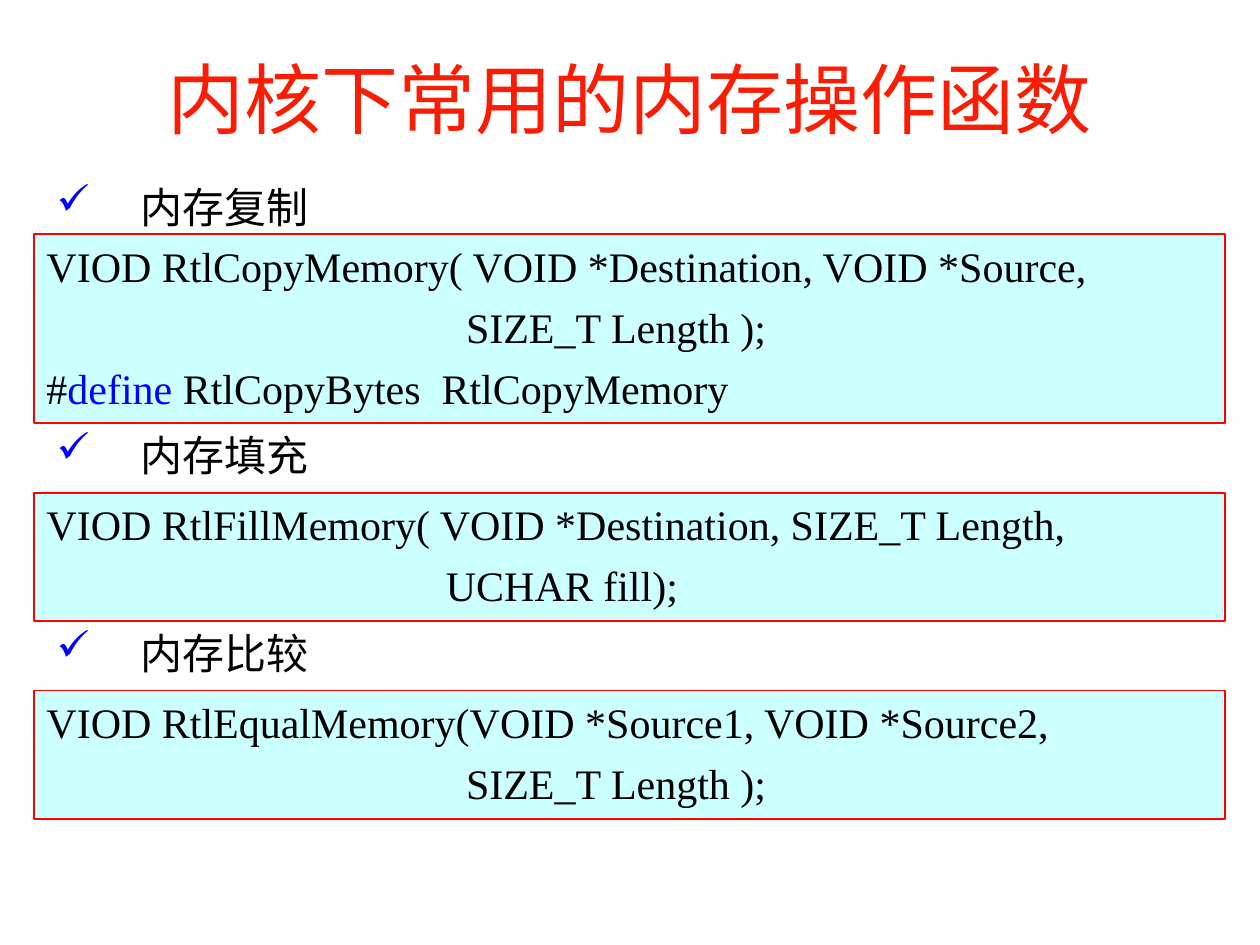
import pptx
import pptx.util
import pptx.dml.color
import pptx.enum.shapes
import pptx.enum.text
import pptx.oxml.ns
import lxml.etree

Inches = pptx.util.Inches
Pt = pptx.util.Pt

# Content
FONT = "Times New Roman"
TITLE = "内核下常用的内存操作函数"
BLACK, BLUE, RED, TITLE_RED, PALE = "000000", "0000FF", "FF0000", "FC1C04", "CCFFFF"
# Each section: label, height from label top to code box, code lines.
# Each code line: left indent in inches, then (text, colour) spans.
SECTIONS = [
    ("内存复制", 0.47, [
        (0, [("VIOD RtlCopyMemory( VOID *Destination, VOID *Source,", BLACK)]),
        (3.33, [("SIZE_T Length );", BLACK)]),
        (0, [("#", BLACK), ("define", BLUE),
             (" RtlCopyBytes  RtlCopyMemory", BLACK)]),
    ]),
    ("内存填充", 0.55, [
        (0, [("VIOD RtlFillMemory( VOID *Destination, SIZE_T Length,", BLACK)]),
        (3.17, [("UCHAR fill);", BLACK)]),
    ]),
    ("内存比较", 0.55, [
        (0, [("VIOD RtlEqualMemory(VOID *Source1, VOID *Source2,", BLACK)]),
        (3.33, [("SIZE_T Length );", BLACK)]),
    ]),
]

# Layout in inches
FIRST_TOP = 1.39
LABEL_LEFT, LABEL_WIDTH, LABEL_HEIGHT = 0.35, 9.32, 0.55
CODE_LEFT, CODE_WIDTH = 0.27, 9.45
LINE_HEIGHT, CODE_PADDING = 0.48, 0.06
BULLET_INDENT = 0.67


def colour(value):
    return pptx.dml.color.RGBColor.from_string(value)


def set_frame(frame, anchor):
    settings = {
        "word_wrap": True, "vertical_anchor": anchor,
        "auto_size": pptx.enum.text.MSO_AUTO_SIZE.NONE,
        "margin_left": Inches(0.1), "margin_right": Inches(0.1),
        "margin_top": Inches(0.05), "margin_bottom": Inches(0.05),
    }
    for name, value in settings.items():
        setattr(frame, name, value)


def write(para, spans, size, align, before=0):
    para.alignment = align
    para.space_before = Pt(before)
    for text, tint in spans:
        span = para.add_run()
        span.text = text
        for name, value in {"name": FONT, "size": Pt(size), "bold": False}.items():
            setattr(span.font, name, value)
        span.font.color.rgb = colour(tint)


def set_indent(para, left, first=0):
    properties = para._p.get_or_add_pPr()
    properties.set("marL", str(Inches(left)))
    properties.set("indent", str(Inches(first)))
    return properties


def add_check(para):
    properties = set_indent(para, BULLET_INDENT, -BULLET_INDENT)
    qn = pptx.oxml.ns.qn
    tint = lxml.etree.SubElement(properties, qn("a:buClr"))
    lxml.etree.SubElement(tint, qn("a:srgbClr"), val=BLUE)
    lxml.etree.SubElement(properties, qn("a:buChar"), char="✓")


def add_label(page, text, top):
    box = page.shapes.add_textbox(*map(Inches, (LABEL_LEFT, top, LABEL_WIDTH, LABEL_HEIGHT)))
    set_frame(box.text_frame, pptx.enum.text.MSO_ANCHOR.TOP)
    para = box.text_frame.paragraphs[0]
    write(para, [(text, BLACK)], 24, pptx.enum.text.PP_ALIGN.LEFT, 6)
    add_check(para)


def add_code(page, lines, top, height):
    box = page.shapes.add_shape(pptx.enum.shapes.MSO_SHAPE.RECTANGLE,
                                *map(Inches, (CODE_LEFT, top, CODE_WIDTH, height)))
    box.shadow.inherit = False
    box.fill.solid()
    box.fill.fore_color.rgb = colour(PALE)
    box.line.color.rgb = colour(RED)
    box.line.width = Pt(1)
    frame = box.text_frame
    set_frame(frame, pptx.enum.text.MSO_ANCHOR.TOP)
    for index, (indent, spans) in enumerate(lines):
        para = frame.add_paragraph() if index else frame.paragraphs[0]
        write(para, spans, 24, pptx.enum.text.PP_ALIGN.LEFT, 6)
        set_indent(para, indent)


def main():
    deck = pptx.Presentation()
    deck.slide_width, deck.slide_height = Inches(10), Inches(7.5)
    page = deck.slides.add_slide(deck.slide_layouts.get_by_name("Title Only"))

    # Title
    title = page.shapes.title
    place = {"left": 0.75, "top": 0.36, "width": 8.5, "height": 0.83}
    for name, value in place.items():
        setattr(title, name, Inches(value))
    set_frame(title.text_frame, pptx.enum.text.MSO_ANCHOR.MIDDLE)
    write(title.text_frame.paragraphs[0], [(TITLE, TITLE_RED)], 44,
          pptx.enum.text.PP_ALIGN.CENTER)

    # Labels and code boxes, stacked downwards
    top = FIRST_TOP
    for label, step, lines in SECTIONS:
        add_label(page, label, top)
        height = LINE_HEIGHT * len(lines) + CODE_PADDING
        add_code(page, lines, top + step, height)
        top += step + height

    deck.save("out.pptx")


if __name__ == "__main__":
    main()
